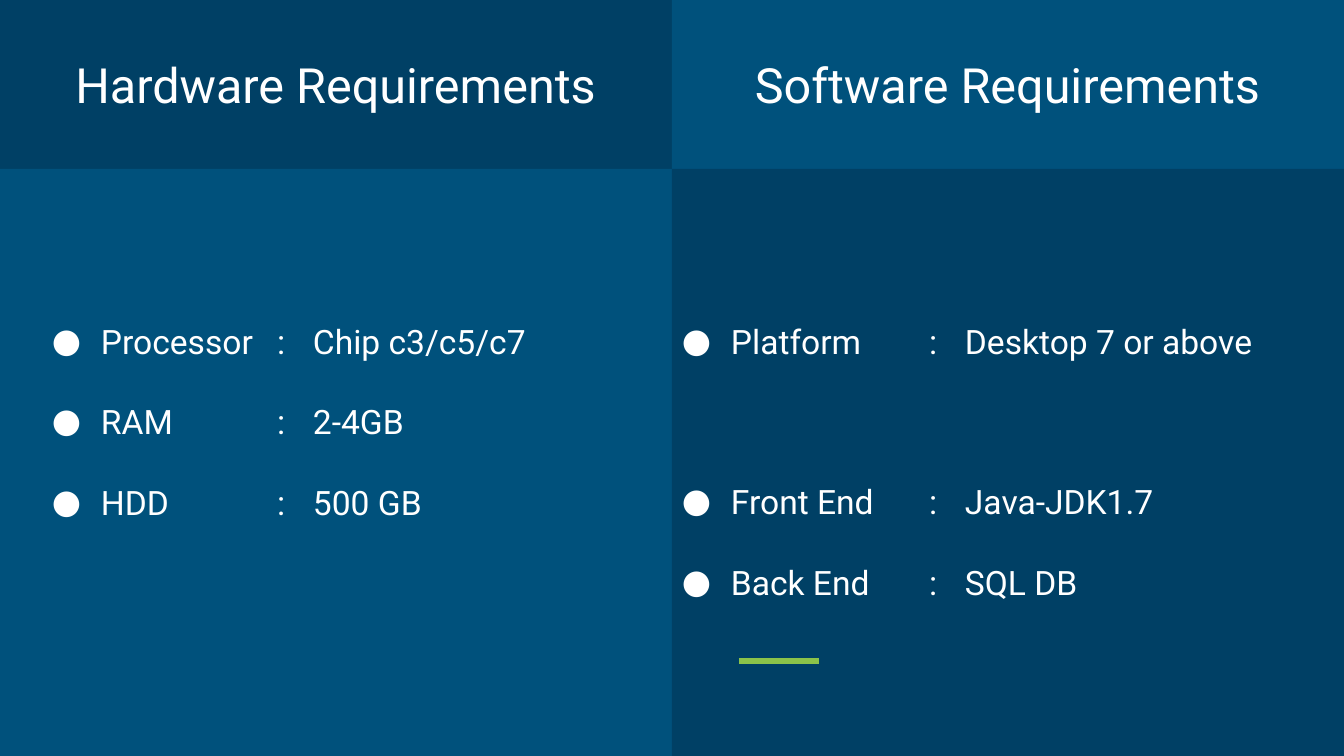
from lxml.etree import SubElement
from pptx import Presentation
from pptx.dml.color import RGBColor
from pptx.enum.shapes import MSO_CONNECTOR, MSO_SHAPE
from pptx.enum.text import MSO_ANCHOR, PP_ALIGN
from pptx.oxml.ns import qn
from pptx.util import Emu, Pt

COLORS = {"blue": "00517C", "navy": "004065", "green": "8BC34A", "white": "FFFFFF"}
WIDTH, HEIGHT = 1344, 756
HALF, HEADER = 672, 169
LINE_GAP, ROW_PITCH = 40, 80


def px(length):
    return Emu(round(length * 9144000 / WIDTH))


def write_text(shape, lines, size, align=PP_ALIGN.LEFT, anchor=MSO_ANCHOR.TOP,
               inset=0, gaps=None, bullet=None, indent=0, tab=None):
    frame = shape.text_frame
    frame.word_wrap = True
    frame.vertical_anchor = anchor
    frame.margin_left = frame.margin_right = px(inset)
    frame.margin_top = frame.margin_bottom = px(inset)
    for index, line in enumerate(lines):
        paragraph = frame.paragraphs[0] if index == 0 else frame.add_paragraph()
        paragraph.alignment = align
        if gaps:
            paragraph.space_after = Pt(round(px(gaps[index]).pt, 1))
        run = paragraph.add_run()
        run.text = line
        run.font.name = "Roboto"
        run.font.size = Pt(size)
        run.font.color.rgb = RGBColor.from_string(COLORS["white"])
        properties = paragraph._p.get_or_add_pPr()
        if bullet:
            properties.set("marL", str(px(indent)))
            properties.set("indent", str(-px(indent)))
            SubElement(properties, qn("a:buFont"), typeface="Roboto")
            SubElement(properties, qn("a:buChar"), char=bullet)
        if tab:
            tabs = SubElement(properties, qn("a:tabLst"))
            SubElement(tabs, qn("a:tab"), pos=str(px(tab)), algn="l")


presentation = Presentation()
presentation.slide_width = px(WIDTH)
presentation.slide_height = px(HEIGHT)
slide = presentation.slides.add_slide(presentation.slide_layouts[6])
slide.background.fill.solid()
slide.background.fill.fore_color.rgb = RGBColor.from_string(COLORS["blue"])

panels = [
    ("Hardware Requirements", 0, "navy", "blue", 52, 281, [
        ("Processor", "Chip c3/c5/c7", 1),
        ("RAM", "2-4GB", 1),
        ("HDD", "500 GB", 1),
    ]),
    ("Software Requirements", HALF, "blue", "navy", 682, 933, [
        ("Platform", "Desktop 7 or above", 2),
        ("Front End", "Java-JDK1.7", 1),
        ("Back End", "SQL DB", 1),
    ]),
]

for title, left, header_color, body_color, label_left, value_left, rows in panels:
    for top, height, color in ((0, HEADER, header_color), (HEADER, HEIGHT - HEADER, body_color)):
        shape = slide.shapes.add_shape(MSO_SHAPE.RECTANGLE, px(left), px(top), px(HALF), px(height))
        shape.shadow.inherit = False
        shape.fill.solid()
        shape.fill.fore_color.rgb = RGBColor.from_string(COLORS[color])
        shape.line.fill.background()
        if top == 0:
            write_text(shape, [title], 26, align=PP_ALIGN.CENTER, anchor=MSO_ANCHOR.MIDDLE, inset=13)

    gaps = [LINE_GAP + ROW_PITCH * (steps - 1) for _, _, steps in rows]
    labels = slide.shapes.add_textbox(px(label_left), px(321), px(value_left - label_left), px(300))
    write_text(labels, [label for label, _, _ in rows], 18, gaps=gaps, bullet="●", indent=49)
    values = slide.shapes.add_textbox(px(value_left - 4), px(321), px(left + HALF - value_left), px(300))
    write_text(values, [f":\t{value}" for _, value, _ in rows], 18, gaps=gaps, tab=36)

accent = slide.shapes.add_connector(MSO_CONNECTOR.STRAIGHT, px(739), px(661), px(819), px(661))
accent.line.color.rgb = RGBColor.from_string(COLORS["green"])
accent.line.width = Pt(3)
SubElement(accent._element.spPr, qn("a:effectLst"))

presentation.save("out.pptx")
